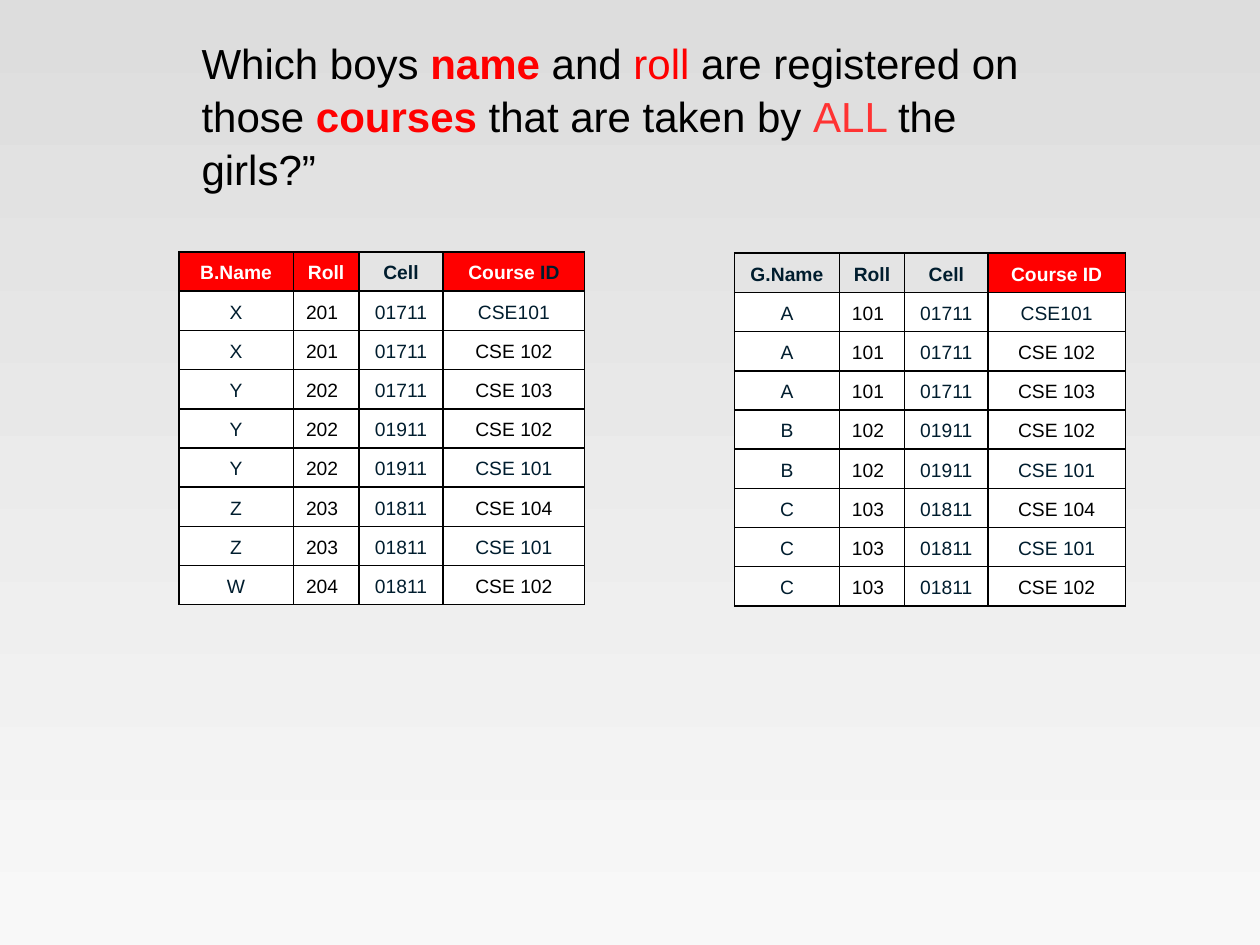
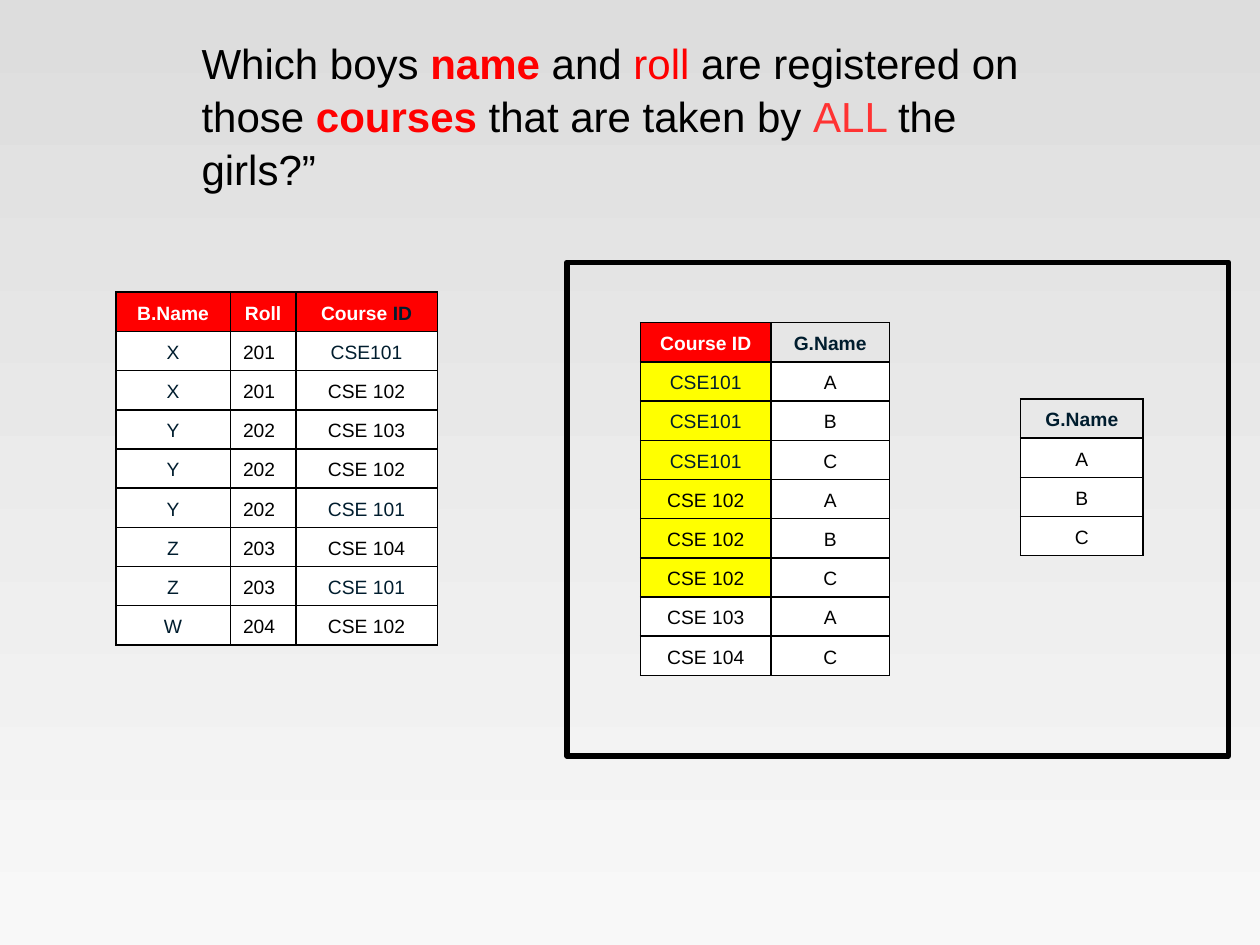
from dataclasses import dataclass

from lxml import etree
from pptx import Presentation
from pptx.dml.color import RGBColor
from pptx.enum import shapes, text
from pptx.oxml import ns
from pptx.util import Pt


@dataclass(frozen=True)
class Theme:
    """Colours, font and type sizes of the deck."""

    face: str = "Arial"
    head: int = 24
    body: int = 11
    black: str = "000000"
    white: str = "FFFFFF"
    navy: str = "001D2E"
    red: str = "FF0000"
    coral: str = "FF3333"
    yellow: str = "FFFF00"
    top: str = "DDDDDD"
    foot: str = "F8F8F8"


@dataclass(frozen=True)
class Col:
    """One table column: heading runs, width, cells and look."""

    head: tuple
    width: float
    cells: list
    key: bool = False
    ink: str = "000000"
    left: bool = False
    marks: tuple = ()


T = Theme()
ROW = 22.4
ASK = [
    ("Which boys ", T.black, False), ("name", T.red, True),
    (" and", T.black, False), (" roll ", T.red, False),
    ("are registered on those ", T.black, False), ("courses", T.red, True),
    (" that are taken by ", T.black, False), ("ALL ", T.coral, False),
    ("the girls?”", T.black, False),
]
CELLS = ["01711"] * 3 + ["01911"] * 2 + ["01811"] * 3
TAKEN = ["CSE101", "CSE 102", "CSE 103", "CSE 102",
         "CSE 101", "CSE 104", "CSE 101", "CSE 102"]
GROUPS = ["CSE101"] * 3 + ["CSE 102"] * 3 + ["CSE 103", "CSE 104"]

BOYS = [
    Col(("B.Name",), 65.5, list("XXYYYZZW"), True, T.navy),
    Col(("Roll",), 37.4, "201 201 202 202 202 203 203 204".split(), True, left=True),
    Col(("Cell",), 48.2, CELLS, ink=T.navy),
    Col(("Course", " ID"), 80.9, TAKEN, True),
]
GIRLS = [
    Col(("G.Name",), 59.8, list("AAABBCCC"), ink=T.navy),
    Col(("Roll",), 37.4, "101 101 101 102 102 103 103 103".split(), left=True),
    Col(("Cell",), 47.6, CELLS, ink=T.navy),
    Col(("Course ID",), 78.5, TAKEN, True),
]
PAIRS = [
    Col(("Course ID",), 74.6, GROUPS, True, marks=("CSE101", "CSE 102")),
    Col(("G.Name",), 67.7, list("ABCABCAC")),
]
NAMES = [Col(("G.Name",), 70, list("ABC"))]


def tint(color):
    """Turn a hex string into a colour."""
    return RGBColor.from_string(color)


def paint(part, color):
    """Fill a part with one colour, or leave it clear."""
    if color:
        part.fill.solid()
        part.fill.fore_color.rgb = tint(color)
    else:
        part.fill.background()


def edge(cell):
    """Draw a thin black line on all four sides of a cell."""
    props = cell._tc.get_or_add_tcPr()
    for spot, side in enumerate(("lnL", "lnR", "lnT", "lnB")):
        line = etree.Element(ns.qn(f"a:{side}"), w=str(Pt(1)))
        fill = etree.SubElement(line, ns.qn("a:solidFill"))
        etree.SubElement(fill, ns.qn("a:srgbClr"), val=T.black)
        props.insert(spot, line)


def write(cell, runs, inks, bold=False, left=False):
    """Set the text of a cell, one ink for each run."""
    cell.vertical_anchor = text.MSO_ANCHOR.MIDDLE
    para = cell.text_frame.paragraphs[0]
    para.alignment = text.PP_ALIGN.LEFT if left else text.PP_ALIGN.CENTER
    para.line_spacing = 1.15
    font = para.font
    font.name, font.size, font.bold = T.face, Pt(T.body), bold
    font.color.rgb = tint(inks[0])
    for words, ink in zip(runs, inks):
        run = para.add_run()
        run.text = words
        if ink != inks[0]:
            run.font.color.rgb = tint(ink)


def grid(slide, x, y, cols):
    """Place a table of columns with its top left corner at x, y."""
    rows = len(cols[0].cells) + 1
    width = sum(col.width for col in cols)
    table = slide.shapes.add_table(
        rows, len(cols), Pt(x), Pt(y), Pt(width), Pt(ROW * rows)).table
    table.first_row = table.horz_banding = False
    for row in table.rows:
        row.height = Pt(ROW)
    for c, col in enumerate(cols):
        table.columns[c].width = Pt(col.width)
        head = table.cell(0, c)
        paint(head, T.red if col.key else None)
        write(head, col.head, (T.white if col.key else T.navy, T.navy), True)
        edge(head)
        for r, word in enumerate(col.cells, 1):
            cell = table.cell(r, c)
            paint(cell, T.yellow if word in col.marks else T.white)
            first = word.startswith("CSE") and word.endswith("101")
            write(cell, (word,), (T.navy if first else col.ink,), left=col.left)
            edge(cell)


def title(slide, x, y, w, h):
    """Put the question into the title placeholder."""
    box = slide.shapes.title
    box.left, box.top, box.width, box.height = map(Pt, (x, y, w, h))
    frame = box.text_frame
    frame.word_wrap = True
    frame.auto_size = text.MSO_AUTO_SIZE.SHAPE_TO_FIT_TEXT
    frame.vertical_anchor = text.MSO_ANCHOR.TOP
    para = frame.paragraphs[0]
    para.alignment = text.PP_ALIGN.LEFT
    para.line_spacing = 1.05
    para.font.name, para.font.size = T.face, Pt(T.head)
    for words, ink, bold in ASK:
        run = para.add_run()
        run.text = words
        run.font.bold = bold
        run.font.color.rgb = tint(ink)


def divide(slide, x, y, w, h):
    """Frame the two tables of the division step."""
    box = slide.shapes.add_shape(
        shapes.MSO_SHAPE.RECTANGLE, Pt(x), Pt(y), Pt(w), Pt(h))
    box.shadow.inherit = False
    paint(box, None)
    box.line.color.rgb = tint(T.black)
    box.line.width = Pt(3)
    grid(slide, x + 42, y + 34.6, PAIRS)
    grid(slide, x + 259.2, y + 78.2, NAMES)


def page(deck):
    """Add a slide that carries the question."""
    slide = deck.slides.add_slide(deck.slide_layouts[5])
    title(slide, 108, 16.6, 509.8, 94.3)
    return slide


def shade(deck):
    """Give all slides the grey gradient."""
    fill = deck.slide_master.background.fill
    fill.gradient()
    fill.gradient_angle = 270
    for stop, color in zip(fill.gradient_stops, (T.top, T.foot)):
        stop.color.rgb = tint(color)


def main():
    """Build and save the deck."""
    deck = Presentation()
    deck.slide_width, deck.slide_height = Pt(720), Pt(540)
    shade(deck)
    full = page(deck)
    grid(full, 419.8, 144.7, GIRLS)
    grid(full, 102.2, 144, BOYS)
    cut = page(deck)
    grid(cut, 66.2, 167, [col for col in BOYS if col.key])
    divide(cut, 324, 149.8, 378, 282.2)
    deck.save("out.pptx")


if __name__ == "__main__":
    main()
